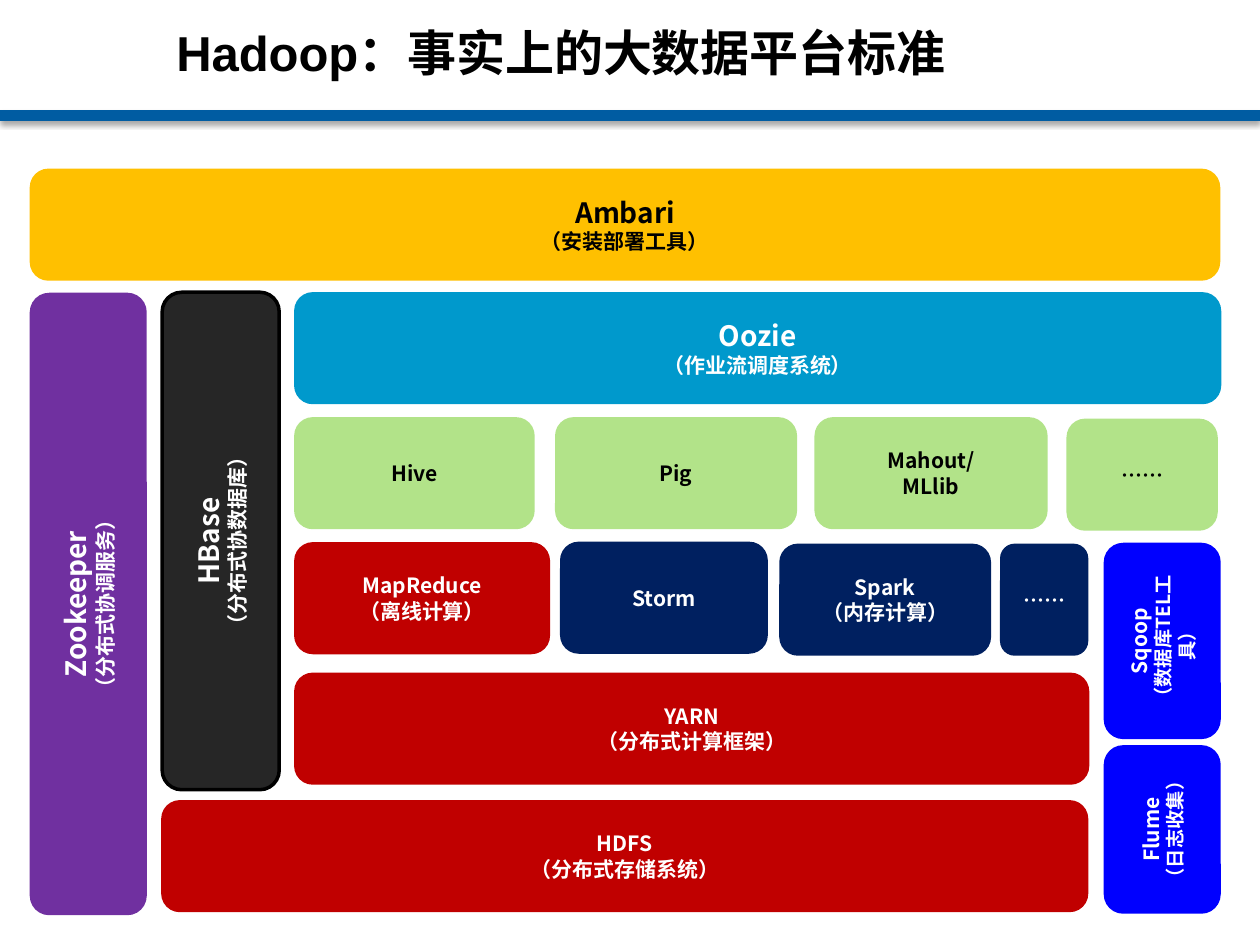
from lxml import etree
from pptx import Presentation
from pptx.dml import color
from pptx.enum import shapes, text
from pptx.oxml import ns
from pptx.util import Cm, Pt

BODY_FONT = "Noto Sans CJK SC"
BLACK, WHITE = "000000", "FFFFFF"
RED, NAVY, GREEN, BLUE = "C00000", "002060", "B2E389", "0000FF"
ROW_HEIGHT = 2.26
SIDE_WIDTH = 2.36
STACK_LEFT = 5.33


def rgb(value):
    return color.RGBColor.from_string(value)


def add_child(parent, tag, **attributes):
    return etree.SubElement(parent, ns.qn(tag), attributes)


def style_paragraph(para, size, ink, typeface, align):
    para.alignment = align
    para.font.size = Pt(size)
    para.font.bold = True
    para.font.color.rgb = rgb(ink)
    para.font.name = typeface
    add_child(para._p.pPr.find(ns.qn("a:defRPr")), "a:ea", typeface=typeface)


def add_header(page, left, top, width, height):
    title = page.shapes.title
    title.left, title.top = Cm(left), Cm(top)
    title.width, title.height = Cm(width), Cm(height)
    frame = title.text_frame
    frame.text = "Hadoop：事实上的大数据平台标准"
    frame.vertical_anchor = text.MSO_ANCHOR.TOP
    frame.auto_size = text.MSO_AUTO_SIZE.NONE
    style_paragraph(frame.paragraphs[0], 28, BLACK, "Arial", text.PP_ALIGN.LEFT)


def add_divider(page, top, width):
    rule = page.shapes.add_connector(
        shapes.MSO_CONNECTOR.STRAIGHT, 0, Cm(top), Cm(width), Cm(top))
    rule.line.color.rgb = rgb("005CA2")
    rule.line.width = Pt(6)
    effects = add_child(rule._element.spPr, "a:effectLst")
    shadow = add_child(effects, "a:outerShdw", blurRad=str(Pt(3.1)), dist=str(Pt(1.8)),
                       dir="5400000", algn="ctr", rotWithShape="0")
    shade = add_child(shadow, "a:srgbClr", val=BLACK)
    add_child(shade, "a:alpha", val="35000")


def add_block(page, left, top, width, height, fill, ink, lines, sizes=(12, 12),
              upright=False, outline=None):
    if upright:
        left, top = left + (width - height) / 2, top + (height - width) / 2
        width, height = height, width
    block = page.shapes.add_shape(
        shapes.MSO_SHAPE.ROUNDED_RECTANGLE, Cm(left), Cm(top), Cm(width), Cm(height))
    block.rotation = 270 if upright else 0
    block.shadow.inherit = False
    block.fill.solid()
    block.fill.fore_color.rgb = rgb(fill)
    if outline:
        block.line.color.rgb = rgb(outline)
        block.line.width = Pt(2)
    else:
        block.line.fill.background()
    frame = block.text_frame
    frame.word_wrap = True
    frame.vertical_anchor = text.MSO_ANCHOR.MIDDLE
    frame.text = "\n".join(lines)
    for para, size in zip(frame.paragraphs, sizes):
        style_paragraph(para, size, ink, BODY_FONT, text.PP_ALIGN.CENTER)


def add_wide_layers(page, left, top):
    layers = [
        (0, 0, 24, "FFC000", BLACK, ("Ambari", "（安装部署工具）"), (16, 12)),
        (STACK_LEFT, 2.49, 18.69, "0099CC", WHITE, ("Oozie", "（作业流调度系统）"), (16, 12)),
        (STACK_LEFT, 10.16, 16.03, RED, WHITE, ("YARN", "（分布式计算框架）"), (12, 12)),
        (2.65, 12.73, 18.69, RED, WHITE, ("HDFS", "（分布式存储系统）"), (12, 12)),
    ]
    for x, y, width, fill, ink, lines, sizes in layers:
        add_block(page, left + x, top + y, width, ROW_HEIGHT, fill, ink, lines, sizes)


def add_tool_rows(page, left, top):
    tools = [
        (0, 0, 4.85, GREEN, BLACK, ["Hive"]),
        (5.26, 0, 4.88, GREEN, BLACK, ["Pig"]),
        (10.49, 0, 4.7, GREEN, BLACK, ["Mahout/", "MLlib"]),
        (15.57, 0.03, 3.05, GREEN, BLACK, ["……"]),
        (0, 2.52, 5.16, RED, WHITE, ["MapReduce", "（离线计算）"]),
        (5.36, 2.51, 4.19, NAVY, WHITE, ["Storm"]),
        (9.78, 2.55, 4.27, NAVY, WHITE, ["Spark", "（内存计算）"]),
        (14.23, 2.55, 1.78, NAVY, WHITE, ["……"]),
    ]
    for x, y, width, fill, ink, lines in tools:
        add_block(page, left + x, top + y, width, ROW_HEIGHT, fill, ink, lines)


def add_upright_services(page, left, top):
    services = [
        (0, 2.5, 12.55, "7030A0", ("Zookeeper", "（分布式协调服务）"), (16, 12), None),
        (2.67, 2.49, 10.03, "262626", ("HBase", "（分布式协数据库）"), (16, 12), BLACK),
        (21.65, 7.54, 3.96, BLUE, ("Sqoop", "（数据库TEL工具）"), (12, 11), None),
        (21.65, 11.62, 3.4, BLUE, ("Flume", "（日志收集）"), (12, 11), None),
    ]
    for x, y, height, fill, lines, sizes, outline in services:
        add_block(page, left + x, top + y, SIDE_WIDTH, height, fill, WHITE, lines,
                  sizes, upright=True, outline=outline)


def add_platform_diagram(page, left, top):
    add_wide_layers(page, left, top)
    add_upright_services(page, left, top)
    add_tool_rows(page, left + STACK_LEFT, top + 5.01)


def main():
    deck = Presentation()
    deck.slide_width, deck.slide_height = Cm(25.4), Cm(19.05)
    page = deck.slides.add_slide(deck.slide_layouts[5])
    add_divider(page, 2.33, 25.4)
    add_header(page, 3.3, 0.33, 21.95, 2.39)
    add_platform_diagram(page, 0.6, 3.4)
    deck.save("out.pptx")


if __name__ == "__main__":
    main()
